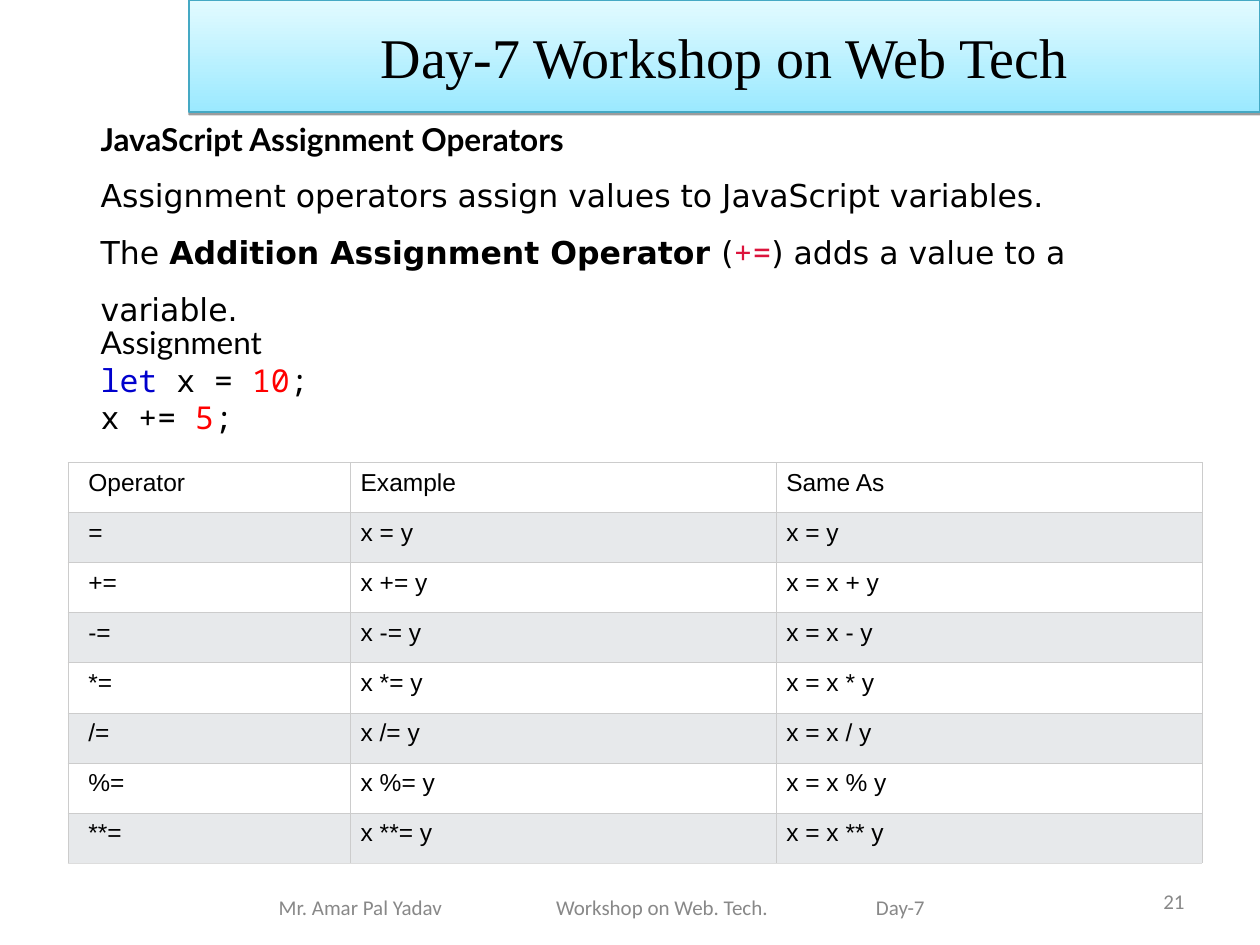
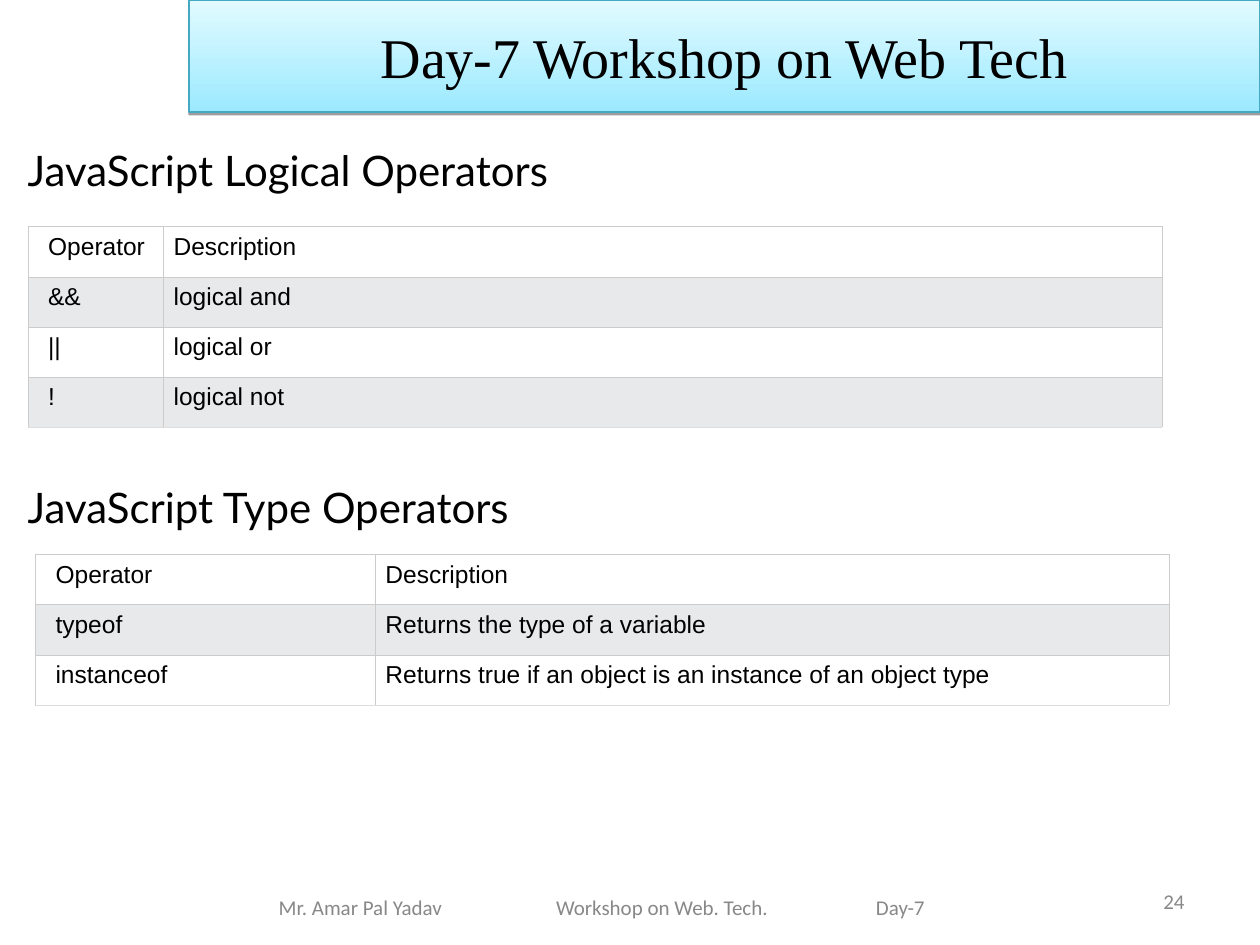
from dataclasses import dataclass

import lxml.etree
import pptx
import pptx.dml.color
import pptx.enum.shapes
import pptx.enum.text
import pptx.oxml
import pptx.oxml.ns
import pptx.util

Cm = pptx.util.Cm
Pt = pptx.util.Pt
qn = pptx.oxml.ns.qn
ALIGN = pptx.enum.text.PP_ALIGN
ANCHOR = pptx.enum.text.MSO_ANCHOR

COLORS = {
    "text": "000000",
    "muted": "888888",
    "paper": "FFFFFF",
    "band": "E7E9EB",
    "border": "CCCCCC",
    "last_border": "DDDDDD",
    "title_bottom": "9BE9FF",
    "title_top": "E2FBFF",
    "title_line": "45A9C4",
    "operator": "DC143C",
    "keyword": "0000CD",
    "number": "FF0000",
}
TITLE = "Day-7 Workshop on Web Tech"
FOOTER = "Mr. Amar Pal Yadav\tWorkshop on Web. Tech.\tDay-7"
FOOTER_TABS = (5.59, 12.04)
ROW_HEIGHT = 1.01
TITLE_ONLY = 5


@dataclass(frozen=True)
class Style:
    font: str
    size: float
    color: str = "text"
    bold: bool = False


@dataclass(frozen=True)
class Run:
    text: str
    style: Style


@dataclass(frozen=True)
class TextBlock:
    box: tuple[float, float, float, float]
    paragraphs: tuple[tuple[Run, ...], ...]
    insets: tuple[float, float] = (0.25, 0.13)
    left_inset: float | None = None
    anchor: ANCHOR = ANCHOR.MIDDLE
    align: ALIGN = ALIGN.LEFT
    spacing: float = 1.0
    filled: bool = False


@dataclass(frozen=True)
class OperatorTable:
    left: float
    top: float
    widths: tuple[float, ...]
    rows: tuple[tuple[str, ...], ...]


TITLE_STYLE = Style("Times New Roman", 32)
FOOTER_STYLE = Style("Calibri", 12, "muted")
CELL_STYLE = Style("Arial", 14)
HEADING = Style("Lato", 24)
LEAD = Style("Lato", 18, bold=True)
LABEL = Style("Lato", 18)
BODY = Style("DejaVu Sans", 18)
BODY_BOLD = Style("DejaVu Sans", 18, bold=True)
CODE = Style("Noto Sans Mono", 18)
CODE_OPERATOR = Style("Noto Sans Mono", 18, "operator")
CODE_KEYWORD = Style("Noto Sans Mono", 18, "keyword")
CODE_NUMBER = Style("Noto Sans Mono", 18, "number")


def rgb(name: str) -> pptx.dml.color.RGBColor:
    return pptx.dml.color.RGBColor.from_string(COLORS[name])


def apply_style(font, style: Style) -> None:
    font.name = style.font
    font.size = Pt(style.size)
    font.bold = style.bold
    font.color.rgb = rgb(style.color)


def write_paragraph(p, runs: tuple[Run, ...]) -> None:
    uniform = len({run.style for run in runs}) == 1
    if uniform:
        apply_style(p.font, runs[0].style)
    for run in runs:
        if run.text == "\n":
            p.add_line_break()
            continue
        r = p.add_run()
        r.text = run.text
        if not uniform:
            apply_style(r.font, run.style)


def draw_text(slide, block: TextBlock):
    box = [Cm(v) for v in block.box]
    if block.filled:
        sp = slide.shapes.add_shape(pptx.enum.shapes.MSO_SHAPE.RECTANGLE, *box)
        sp.shadow.inherit = False
        sp.fill.solid()
        sp.fill.fore_color.rgb = rgb("paper")
        sp.line.fill.background()
    else:
        sp = slide.shapes.add_textbox(*box)
    tf = sp.text_frame
    tf.word_wrap = True
    tf.auto_size = pptx.enum.text.MSO_AUTO_SIZE.NONE
    tf.vertical_anchor = block.anchor
    side, edge = block.insets
    tf.margin_left = Cm(side if block.left_inset is None else block.left_inset)
    tf.margin_right = Cm(side)
    tf.margin_top = tf.margin_bottom = Cm(edge)
    for i, runs in enumerate(block.paragraphs):
        p = tf.add_paragraph() if i else tf.paragraphs[0]
        p.alignment = block.align
        p.line_spacing = block.spacing
        write_paragraph(p, runs)
    return sp


def draw_heading(slide, text: str, top: float, width: float) -> None:
    draw_text(slide, TextBlock((0.56, top, width, 1.5), ((Run(text, HEADING),),),
                               insets=(0, 0.25), filled=True))


def draw_title(slide) -> None:
    sp = slide.shapes.title
    sp.left, sp.top, sp.width, sp.height = Cm(3.81), Cm(0), Cm(21.59), Cm(2.26)
    sp.fill.gradient()
    sp.fill.gradient_angle = 90
    for stop, name in zip(sp.fill.gradient_stops, ("title_bottom", "title_top")):
        stop.color.rgb = rgb(name)
    sp.line.color.rgb = rgb("title_line")
    sp.line.width = Pt(0.75)
    effects = lxml.etree.SubElement(sp._element.spPr, qn("a:effectLst"))
    shadow = lxml.etree.SubElement(effects, qn("a:outerShdw"), blurRad="0",
                                   dist=str(Pt(1.6)), dir="5400000", rotWithShape="0")
    tint = lxml.etree.SubElement(shadow, qn("a:srgbClr"), val=COLORS["text"])
    lxml.etree.SubElement(tint, qn("a:alpha"), val="38000")
    tf = sp.text_frame
    tf.auto_size = pptx.enum.text.MSO_AUTO_SIZE.NONE
    tf.vertical_anchor = ANCHOR.MIDDLE
    p = tf.paragraphs[0]
    p.alignment = ALIGN.CENTER
    write_paragraph(p, (Run(TITLE, TITLE_STYLE),))


def draw_footer(slide, number: int) -> None:
    draw_text(slide, TextBlock((18.21, 17.65, 5.92, 1.02),
                               ((Run(str(number), FOOTER_STYLE),),), align=ALIGN.RIGHT))
    sp = draw_text(slide, TextBlock((3.56, 17.78, 17.2, 1.02),
                                    ((Run(FOOTER, FOOTER_STYLE),),), left_inset=2.06))
    pPr = sp.text_frame.paragraphs[0]._p.get_or_add_pPr()
    tabs = pptx.oxml.parse_xml(f'<a:tabLst xmlns:a="{pptx.oxml.ns.nsuri("a")}"/>')
    for pos in FOOTER_TABS:
        lxml.etree.SubElement(tabs, qn("a:tab"), pos=str(Cm(pos)), algn="l")
    pPr.find(qn("a:defRPr")).addprevious(tabs)


def set_borders(cell, bottom: str) -> None:
    tcPr = cell._tc.get_or_add_tcPr()
    edges = {"lnL": "border", "lnR": "border", "lnT": "border", "lnB": bottom}
    for i, (tag, color) in enumerate(edges.items()):
        ln = lxml.etree.Element(qn(f"a:{tag}"), w=str(Pt(0.34)))
        fill = lxml.etree.SubElement(ln, qn("a:solidFill"))
        lxml.etree.SubElement(fill, qn("a:srgbClr"), val=COLORS[color])
        tcPr.insert(i, ln)


def draw_table(slide, spec_table: OperatorTable) -> None:
    rows, widths = spec_table.rows, spec_table.widths
    table = slide.shapes.add_table(
        len(rows), len(widths), Cm(spec_table.left), Cm(spec_table.top),
        Cm(sum(widths)), Cm(ROW_HEIGHT * len(rows))).table
    table.first_row = table.horz_banding = False
    for column, width in zip(table.columns, widths):
        column.width = Cm(width)
    for i, texts in enumerate(rows):
        table.rows[i].height = Cm(ROW_HEIGHT)
        for j, text in enumerate(texts):
            cell = table.cell(i, j)
            cell.margin_left = Cm(0.2 if j else 0.41)
            cell.margin_right = Cm(0.2)
            cell.margin_top = cell.margin_bottom = Cm(0.13)
            cell.fill.solid()
            cell.fill.fore_color.rgb = rgb("band" if i % 2 else "paper")
            set_borders(cell, "last_border" if i == len(rows) - 1 else "border")
            write_paragraph(cell.text_frame.paragraphs[0], (Run(text, CELL_STYLE),))


def add_slide(prs, number: int):
    slide = prs.slides.add_slide(prs.slide_layouts[TITLE_ONLY])
    draw_title(slide)
    draw_footer(slide, number)
    return slide


def build_assignment_slide(prs) -> None:
    slide = add_slide(prs, 21)
    draw_text(slide, TextBlock(
        (2.03, 2.36, 20.22, 3.91),
        (
            (Run("JavaScript Assignment Operators", LEAD),),
            (Run("Assignment operators assign values to JavaScript variables.", BODY),),
            (
                Run("The ", BODY),
                Run("Addition Assignment Operator ", BODY_BOLD),
                Run("(", BODY),
                Run("+=", CODE_OPERATOR),
                Run(") adds a value to a variable.", BODY),
            ),
        ),
        insets=(0, 0.25), spacing=1.5, filled=True))
    draw_text(slide, TextBlock(
        (1.78, 6.38, 12.7, 2.54),
        (
            (Run("Assignment", LABEL),),
            (
                Run("let", CODE_KEYWORD), Run(" x = ", CODE), Run("10", CODE_NUMBER),
                Run(";", CODE), Run("\n", CODE),
                Run("x += ", CODE), Run("5", CODE_NUMBER), Run(";", CODE),
            ),
        ),
        anchor=ANCHOR.TOP))
    compound = tuple((f"{op}=", f"x {op}= y", f"x = x {op} y")
                     for op in ("+", "-", "*", "/", "%", "**"))
    draw_table(slide, OperatorTable(
        1.37, 9.32, (5.7, 8.58, 8.58),
        (("Operator", "Example", "Same As"), ("=", "x = y", "x = y"), *compound)))


def build_logical_slide(prs) -> None:
    slide = add_slide(prs, 24)
    header = ("Operator", "Description")
    draw_table(slide, OperatorTable(
        0.56, 4.57, (2.74, 20.12),
        (header, ("&&", "logical and"), ("||", "logical or"), ("!", "logical not"))))
    draw_heading(slide, "JavaScript Logical Operators", 2.67, 24.28)
    draw_table(slide, OperatorTable(
        0.71, 11.18, (6.86, 16),
        (header, ("typeof", "Returns the type of a variable"),
         ("instanceof", "Returns true if an object is an instance of an object type"))))
    draw_heading(slide, "JavaScript Type Operators", 9.47, 23.9)


def main() -> None:
    prs = pptx.Presentation()
    prs.slide_width, prs.slide_height = Cm(25.4), Cm(19.05)
    build_assignment_slide(prs)
    build_logical_slide(prs)
    prs.save("out.pptx")


if __name__ == "__main__":
    main()
